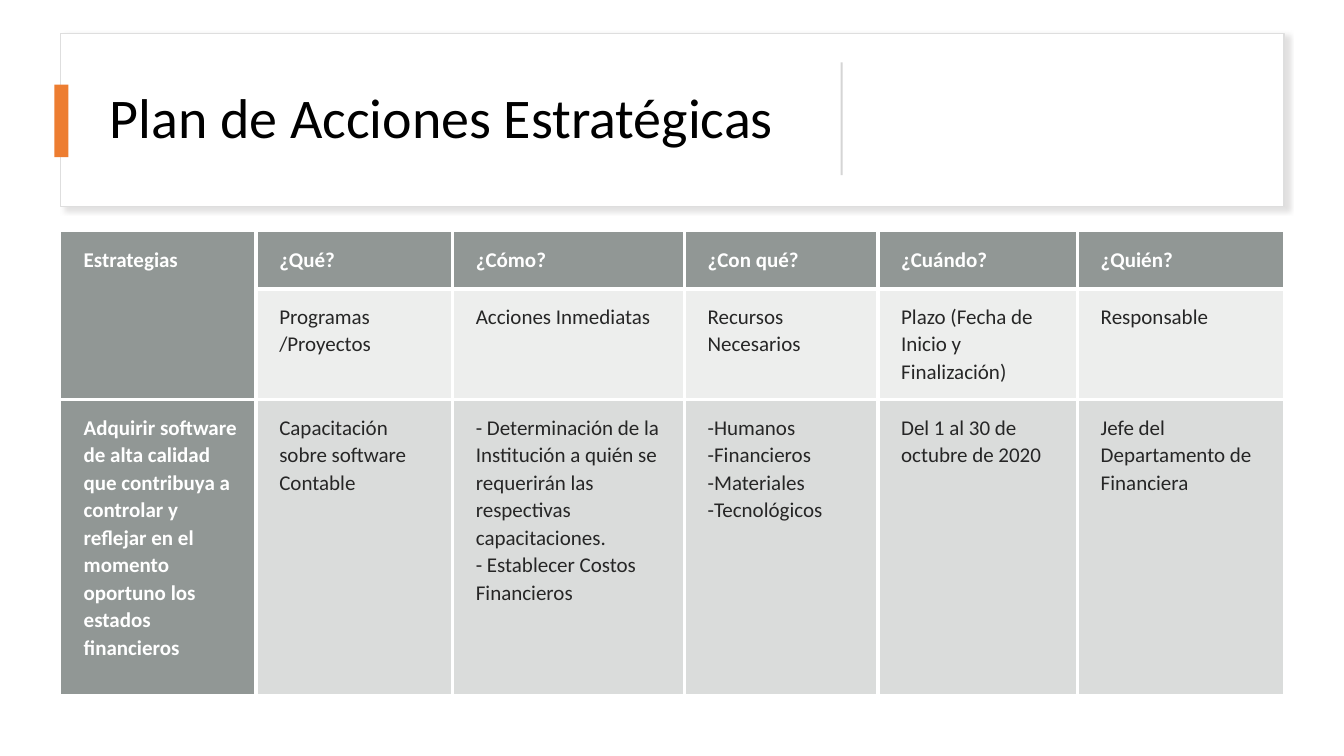
from lxml.etree import SubElement
from pptx import Presentation
from pptx.dml.color import RGBColor
from pptx.enum.shapes import MSO_SHAPE
from pptx.enum.text import MSO_ANCHOR, PP_ALIGN
from pptx.oxml.ns import qn
from pptx.util import Pt

WHITE = RGBColor(0xFF, 0xFF, 0xFF)
BLACK = RGBColor(0x00, 0x00, 0x00)
INK = RGBColor(0x26, 0x26, 0x26)
ORANGE = RGBColor(0xED, 0x7D, 0x31)
FRAME = RGBColor(0xDE, 0xDE, 0xDE)
DIVIDER = RGBColor(0xD5, 0xD5, 0xD5)
SHADOW = RGBColor(0xC5, 0xC3, 0xC3)
HEADING_GREY = RGBColor(0x63, 0x6B, 0x68)
BODY_GREY = RGBColor(0x87, 0x8E, 0x8B)

COLUMN_WIDTHS = [139.7, 140.4, 165.6, 138.2, 142.6, 147]
ROW_HEIGHTS = [41, 79.2, 211]
BODY_OPACITY = {1: 15, 2: 30}
PLAN = [
    ["Estrategias", "¿Qué?", "¿Cómo?", "¿Con qué?", "¿Cuándo?", "¿Quién?"],
    ["", "Programas /Proyectos", "Acciones Inmediatas", "Recursos Necesarios",
     "Plazo (Fecha de Inicio y Finalización)", "Responsable"],
    ["Adquirir software de alta calidad que contribuya a controlar y reflejar "
     "en el momento oportuno los estados financieros",
     "Capacitación sobre software Contable",
     "- Determinación de la Institución a quién se requerirán las respectivas "
     "capacitaciones.\n- Establecer Costos Financieros",
     "-Humanos\n-Financieros\n-Materiales\n-Tecnológicos",
     "Del 1 al 30 de octubre de 2020",
     "Jefe del Departamento de Financiera"],
]


class SlideBuilder:
    font_name = "Calibri"

    def __init__(self, slide):
        self.slide = slide

    def style_paragraph(self, paragraph, size, color, spacing, bold=False):
        paragraph.alignment = PP_ALIGN.LEFT
        paragraph.line_spacing = spacing
        font = paragraph.font
        font.name, font.size, font.bold = self.font_name, Pt(size), bold
        font.color.rgb = color

    def rectangle(self, left, top, width, height, fill, line=None):
        shape = self.slide.shapes.add_shape(
            MSO_SHAPE.RECTANGLE, Pt(left), Pt(top), Pt(width), Pt(height))
        shape.shadow.inherit = False
        shape.fill.solid()
        shape.fill.fore_color.rgb = fill
        if line is None:
            shape.line.fill.background()
        else:
            shape.line.color.rgb = line
            shape.line.width = Pt(1)
        return shape

    def drop_shadow(self, shape):
        effects = shape._element.spPr.find(qn("a:effectLst"))
        shadow = SubElement(effects, qn("a:outerShdw"), blurRad=str(Pt(4)),
                            dist=str(Pt(3)), dir=str(45 * 60000),
                            algn="tl", rotWithShape="0")
        color = SubElement(shadow, qn("a:srgbClr"), val=str(SHADOW))
        SubElement(color, qn("a:alpha"), val="50000")

    def title(self, text, left, top, width, height):
        title = self.slide.shapes.title
        title.left, title.top = Pt(left), Pt(top)
        title.width, title.height = Pt(width), Pt(height)
        frame = title.text_frame
        frame.text = text
        frame.word_wrap = True
        frame.vertical_anchor = MSO_ANCHOR.MIDDLE
        self.style_paragraph(frame.paragraphs[0], 40, BLACK, 0.9)
        return title

    def cell_borders(self, cell, sides):
        """Draw white 3 pt borders; sides follow the order L, R, T, B."""
        properties = cell._tc.get_or_add_tcPr()
        for side in sides:
            line = SubElement(properties, qn("a:ln" + side), w=str(Pt(3)))
            fill = SubElement(line, qn("a:solidFill"))
            SubElement(fill, qn("a:srgbClr"), val=str(WHITE))

    def cell_fill(self, cell, color, opacity):
        cell.fill.solid()
        cell.fill.fore_color.rgb = color
        color_node = cell._tc.tcPr.find(qn("a:solidFill")).find(qn("a:srgbClr"))
        SubElement(color_node, qn("a:alpha"), val=str(opacity * 1000))

    def table(self, left, top, widths, heights, texts):
        table = self.slide.shapes.add_table(
            len(heights), len(widths), Pt(left), Pt(top),
            Pt(sum(widths)), Pt(sum(heights))).table
        table.horz_banding = False
        for column, width in zip(table.columns, widths):
            column.width = Pt(width)
        for row, height in zip(table.rows, heights):
            row.height = Pt(height)
        table.cell(0, 0).merge(table.cell(1, 0))

        last_row, last_column = len(heights) - 1, len(widths) - 1
        for i, row_texts in enumerate(texts):
            for j, text in enumerate(row_texts):
                cell = table.cell(i, j)
                heading = i == 0 or j == 0
                inner = {"L": j > 0, "R": j < last_column,
                         "T": i > 0, "B": i < last_row}
                self.cell_borders(cell, [s for s, drawn in inner.items() if drawn])
                if heading:
                    self.cell_fill(cell, HEADING_GREY, 70)
                else:
                    self.cell_fill(cell, BODY_GREY, BODY_OPACITY[i])
                cell.margin_left = Pt(16.6)
                cell.margin_right = cell.margin_top = cell.margin_bottom = Pt(10)
                cell.vertical_anchor = MSO_ANCHOR.TOP
                if cell.is_spanned:
                    continue
                cell.text_frame.text = text
                for paragraph in cell.text_frame.paragraphs:
                    self.style_paragraph(paragraph, 15, WHITE if heading else INK,
                                         1.07, bold=heading)


def main():
    presentation = Presentation()
    presentation.slide_width, presentation.slide_height = Pt(960), Pt(540)
    slide = presentation.slides.add_slide(presentation.slide_layouts[5])
    builder = SlideBuilder(slide)

    title_box = builder.rectangle(43.2, 23.8, 874, 123.8, WHITE, FRAME)
    builder.drop_shadow(title_box)
    title = builder.title("Plan de Acciones Estratégicas", 71.3, 31.7, 506.2, 108)
    title_box._element.addnext(title._element)  # keeps the title above its box
    builder.rectangle(38.9, 60.5, 10.1, 51.8, ORANGE)
    builder.rectangle(600.5, 44.6, 1.4, 80.6, DIVIDER)
    builder.table(43.2, 165.2, COLUMN_WIDTHS, ROW_HEIGHTS, PLAN)

    presentation.save("out.pptx")


if __name__ == "__main__":
    main()
